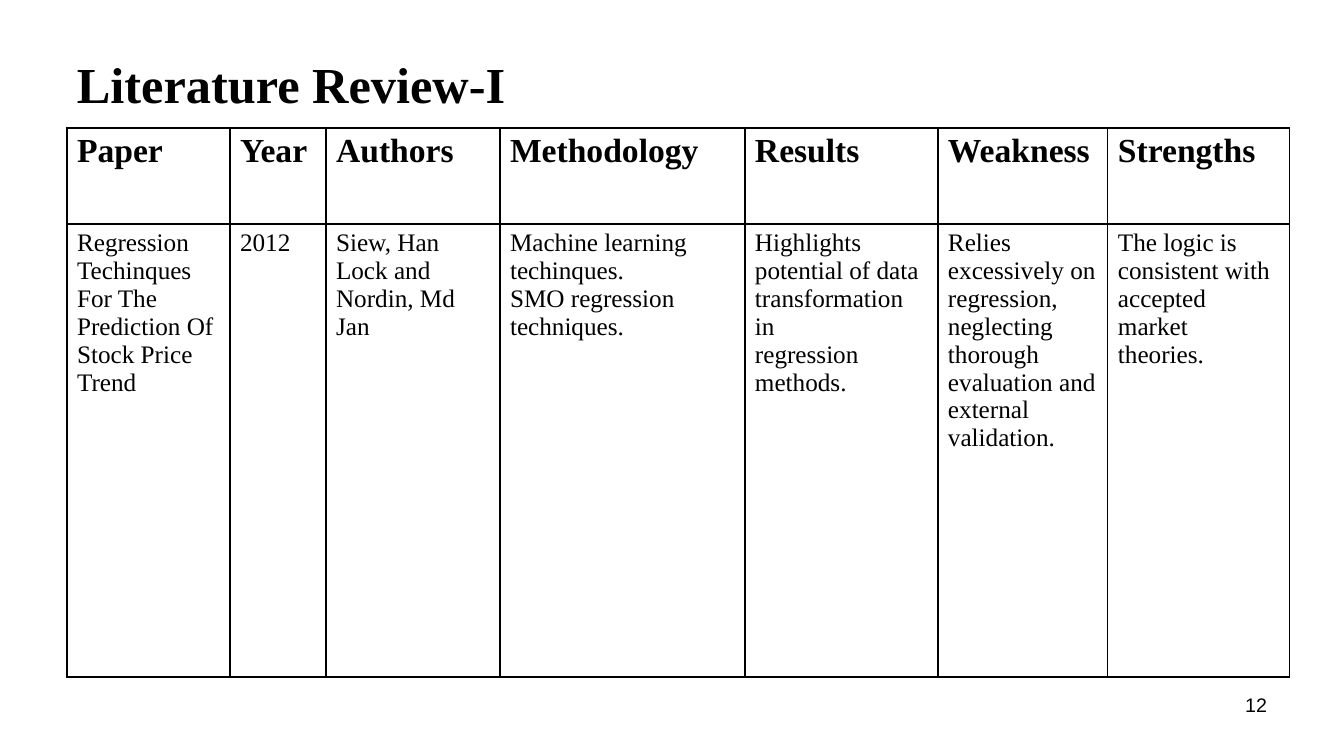
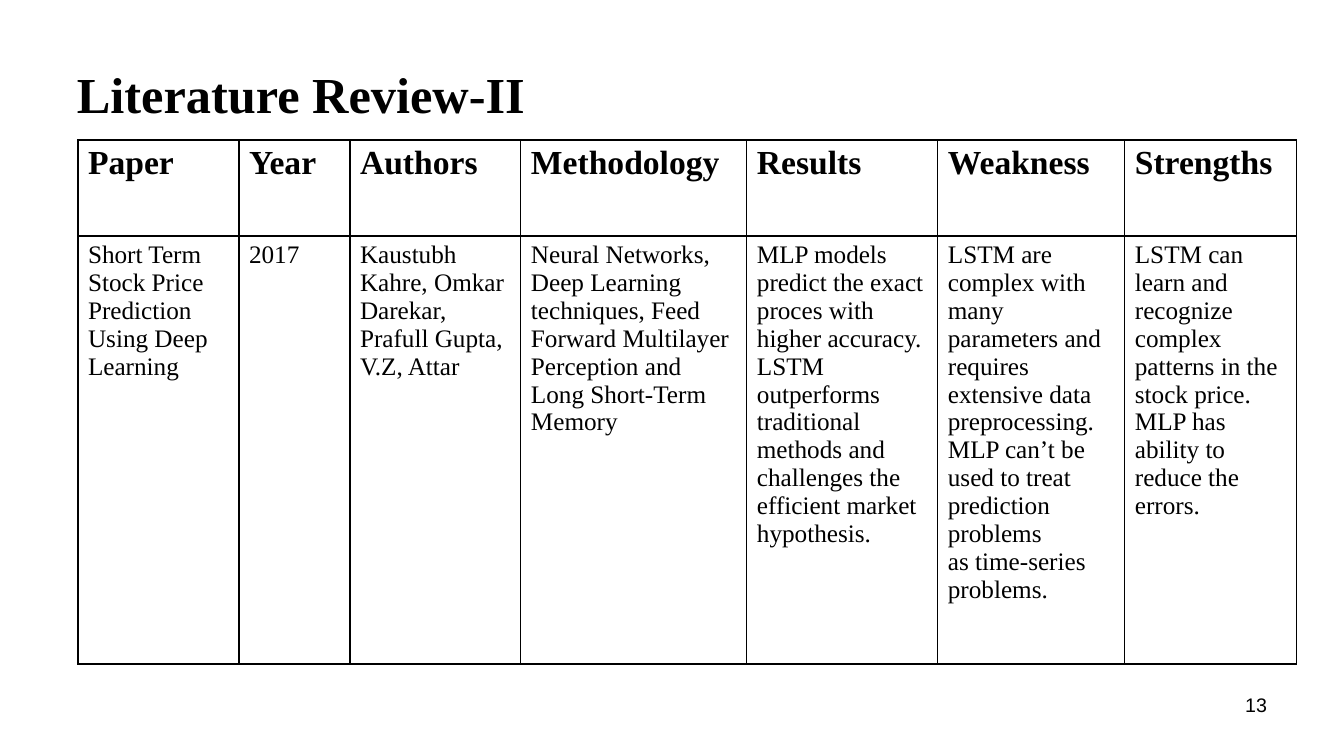
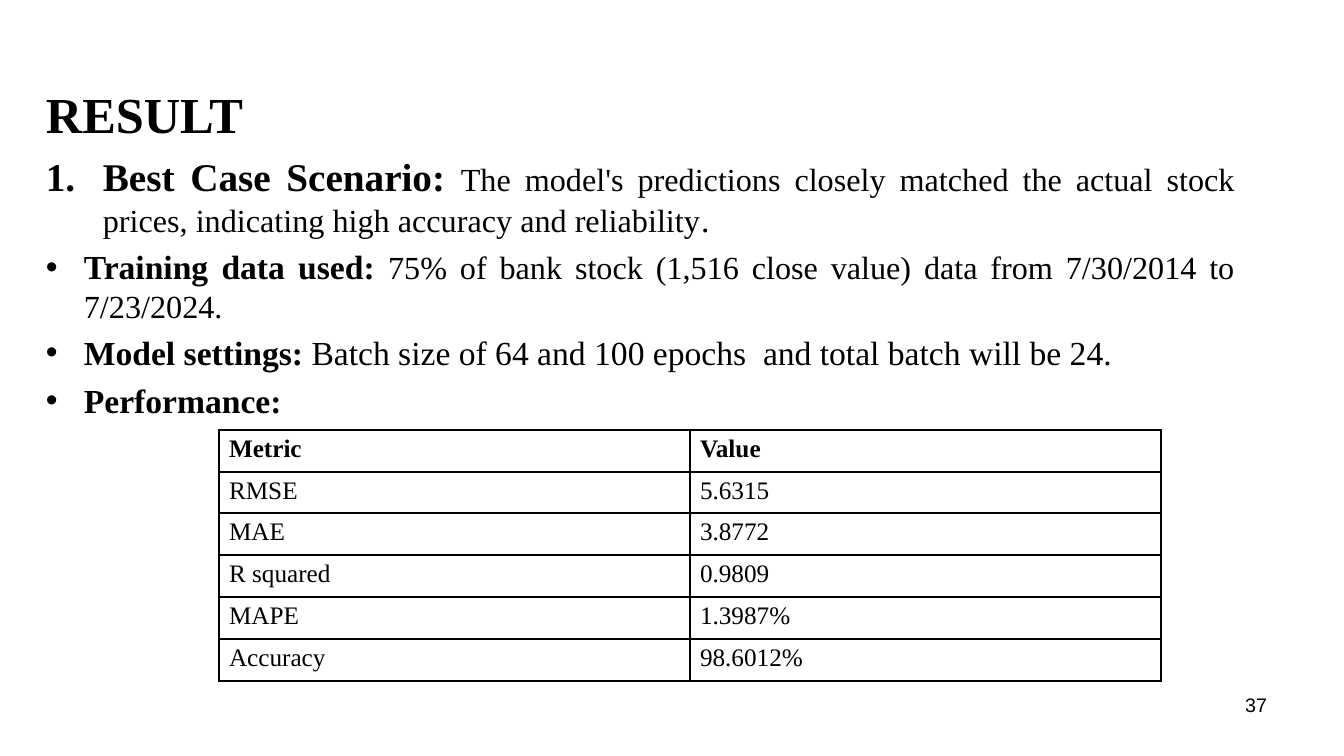
from lxml import etree
from pptx import Presentation
from pptx.dml.color import RGBColor
from pptx.enum.text import MSO_ANCHOR, PP_ALIGN
from pptx.oxml.ns import qn
from pptx.util import Emu, Pt

MIDDLE, TOP = MSO_ANCHOR.MIDDLE, MSO_ANCHOR.TOP
LEFT, RIGHT, JUSTIFY = PP_ALIGN.LEFT, PP_ALIGN.RIGHT, PP_ALIGN.JUSTIFY

# Shared style
PX_PER_INCH = 100.8
SERIF, SANS = "Times New Roman", "Arial"
INK = "000000"
TITLE_SIZE, HEAD_SIZE, CELL_SIZE, NUMBER_SIZE = 36, 24, 18, 14
NUMBER_BOX = (964, 688, 313, 52)

# Content: boxes are left, top, width, height in px
REVIEW_HEADS = ["Paper", "Year", "Authors", "Methodology", "Results",
                "Weakness", "Strengths"]

SLIDES = [
    {
        "title": "Literature Review-I", "title_box": (67, 20, 1210, 126),
        "number": "12",
        "table": {
            "at": (67, 128), "head_size": HEAD_SIZE,
            "widths": [163, 96, 174, 245, 193, 170, 182],
            "heights": [96, 453],
            "rows": [REVIEW_HEADS, [
                "Regression Techinques For The Prediction Of Stock Price Trend",
                "2012",
                "Siew, Han Lock and Nordin, Md Jan",
                "Machine learning techinques.\nSMO regression techniques.",
                "Highlights potential of data transformation in\n"
                "regression methods.",
                "Relies excessively on regression, neglecting thorough "
                "evaluation and external validation.",
                "The logic is consistent with accepted market theories.",
            ]],
        },
    },
    {
        "title": "Literature Review-II", "title_box": (67, 48, 1210, 91),
        "number": "13",
        "table": {
            "at": (78, 140), "head_size": HEAD_SIZE,
            "widths": [161, 111, 171, 226, 191, 187, 172],
            "heights": [96, 428],
            "rows": [REVIEW_HEADS, [
                "Short Term Stock Price Prediction Using Deep Learning",
                "2017",
                "Kaustubh Kahre, Omkar Darekar, Prafull Gupta, V.Z, Attar",
                "Neural Networks, Deep Learning techniques, Feed Forward "
                "Multilayer Perception and Long Short-Term Memory",
                "MLP models predict the exact proces with higher accuracy. "
                "LSTM outperforms traditional methods and challenges the "
                "efficient market hypothesis.",
                "LSTM are complex with many parameters and requires extensive "
                "data preprocessing. MLP can’t be used to treat prediction "
                "problems\nas time-series problems.",
                "LSTM can learn and recognize complex\n"
                "patterns in the stock price. MLP has ability to reduce the "
                "errors.",
            ]],
        },
    },
    {
        "title": "RESULT", "title_box": (36, 50, 1210, 126),
        "number": "37",
        "body_box": (36, 147, 1210, 499),
        # Each paragraph: bullet, indent in px, spans of (text, size, bold)
        "body": [
            ("1.", 57, [
                ("Best Case Scenario: ", 28, True),
                ("The model's predictions closely matched the actual stock "
                 "prices, indicating high accuracy and reliability", 23, False),
                (".", 24, False)]),
            ("•", 38, [
                ("Training data used: ", 24, True),
                ("75% of bank stock (1,516 close value) data from 7/30/2014 to "
                 "7/23/2024.", 23, False)]),
            ("•", 38, [
                ("Model settings:", 24, True),
                (" Batch size of 64 and 100 epochs  and total batch will be "
                 "24.", 24, False)]),
            ("•", 38, [("Performance:", 24, True)]),
        ],
        "table": {
            "at": (219, 430), "head_size": CELL_SIZE,
            "widths": [471, 471],
            "heights": [42, 41, 42, 42, 42, 42],
            "rows": [
                ["Metric", "Value"],
                ["RMSE", "5.6315"],
                ["MAE", "3.8772"],
                ["R squared", "0.9809"],
                ["MAPE", "1.3987%"],
                ["Accuracy", "98.6012%"],
            ],
        },
    },
]


def px(length):
    return Emu(round(length * 914400 / PX_PER_INCH))


def color(value):
    return RGBColor.from_string(value)


def set_font(font, size, bold=False, name=SERIF):
    font.name, font.size, font.bold = name, Pt(size), bold
    font.color.rgb = color(INK)


def add_frame(page, box, anchor=TOP):
    frame = page.shapes.add_textbox(*map(px, box)).text_frame
    frame.word_wrap = True
    frame.vertical_anchor = anchor
    return frame


def add_line(page, box, text, size, bold=False, name=SERIF, align=LEFT,
             anchor=TOP):
    para = add_frame(page, box, anchor).paragraphs[0]
    para.text, para.alignment = text, align
    set_font(para.font, size, bold, name)


def set_bullet(para, bullet, indent):
    props = para._p.get_or_add_pPr()
    props.set("marL", str(px(indent)))
    props.set("indent", str(-px(indent)))
    if bullet == "•":
        etree.SubElement(props, qn("a:buFont"), typeface=SANS)
        etree.SubElement(props, qn("a:buChar"), char=bullet)
    else:
        etree.SubElement(props, qn("a:buFont"), typeface=SERIF)
        etree.SubElement(props, qn("a:buAutoNum"), type="arabicPeriod")


def add_body(page, box, items):
    frame = add_frame(page, box)
    for index, (bullet, indent, spans) in enumerate(items):
        para = frame.paragraphs[0] if index == 0 else frame.add_paragraph()
        para.alignment = JUSTIFY
        para.space_before = Pt(5)
        set_bullet(para, bullet, indent)
        for text, size, bold in spans:
            span = para.add_run()
            span.text = text
            set_font(span.font, size, bold)


def set_borders(cell):
    props = cell._tc.get_or_add_tcPr()
    for side in ("lnL", "lnR", "lnT", "lnB"):
        line = etree.SubElement(props, qn("a:" + side), w=str(Pt(1)))
        fill = etree.SubElement(line, qn("a:solidFill"))
        etree.SubElement(fill, qn("a:srgbClr"), val=INK)


def add_grid(page, at, head_size, widths, heights, rows):
    box = (*at, sum(widths), sum(heights))
    table = page.shapes.add_table(len(rows), len(widths), *map(px, box)).table
    table.first_row = table.horz_banding = False
    for column, width in zip(table.columns, widths):
        column.width = px(width)
    for row, height in zip(table.rows, heights):
        row.height = px(height)
    for row_index, texts in enumerate(rows):
        is_head = row_index == 0
        for column_index, text in enumerate(texts):
            cell = table.cell(row_index, column_index)
            cell.text = text
            set_borders(cell)
            cell.fill.background()
            for para in cell.text_frame.paragraphs:
                set_font(para.font, head_size if is_head else CELL_SIZE, is_head)


def main():
    deck = Presentation()
    deck.slide_width, deck.slide_height = px(1344), px(756)
    blank = deck.slide_layouts[6]
    for content in SLIDES:
        page = deck.slides.add_slide(blank)
        add_line(page, content["title_box"], content["title"], TITLE_SIZE,
                 bold=True, anchor=MIDDLE)
        if "body" in content:
            add_body(page, content["body_box"], content["body"])
        add_grid(page, **content["table"])
        add_line(page, NUMBER_BOX, content["number"], NUMBER_SIZE, name=SANS,
                 align=RIGHT)
    deck.save("out.pptx")


if __name__ == "__main__":
    main()
